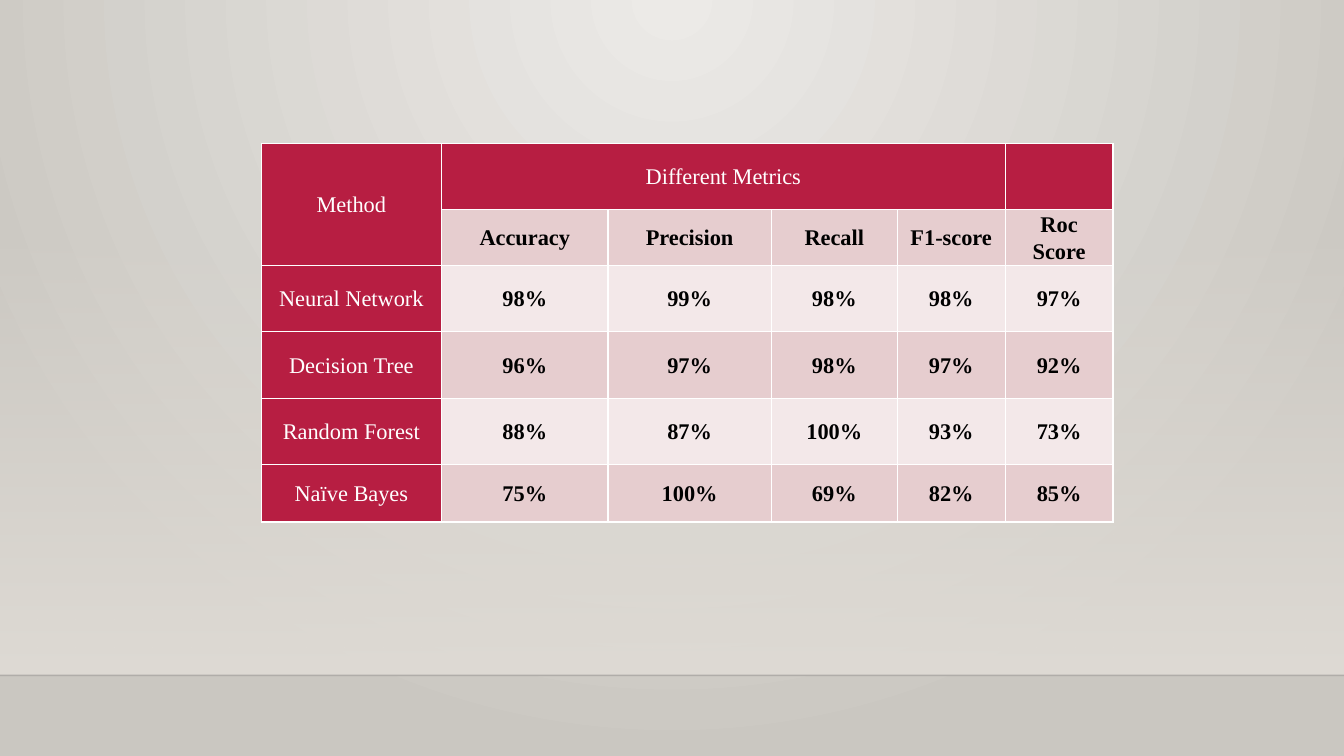
from dataclasses import dataclass

from pptx import Presentation, util as u
from pptx.dml.color import RGBColor
from pptx.enum import shapes, text
from pptx.oxml.ns import qn
from lxml import etree


@dataclass(frozen=True)
class Theme:
    glow: str = "ECEAE7"
    edge: str = "CAC7C1"
    wall: str = "DFDBD5"
    rule: str = "000001"
    head: str = "B71E42"
    bands: tuple = ("F3E8E9", "E6CDCF")
    light: str = "FFFFFF"
    dark: str = "000000"
    font: str = "Times New Roman"
    size: int = 16


T = Theme()
WIDE, HIGH = 13.33, 7.5
FLOOR = 6.7
COLS = (1.79, 1.65, 1.62, 1.25, 1.07, 1.07)
ROWS = (0.66, 0.55, 0.66, 0.66, 0.66, 0.57)
SCORES = (
    ("Method", "Different Metrics", "", "", "", ""),
    ("", "Accuracy", "Precision", "Recall", "F1-score", "Roc Score"),
    ("Neural Network", "98%", "99%", "98%", "98%", "97%"),
    ("Decision Tree", "96%", "97%", "98%", "97%", "92%"),
    ("Random Forest", "88%", "87%", "100%", "93%", "73%"),
    ("Naïve Bayes", "75%", "100%", "69%", "82%", "85%"),
)


def rgb(code):
    return RGBColor.from_string(code)


def sub(node, tag, **attrs):
    return etree.SubElement(node, qn(tag), attrs)


def fade(fill, start, end):
    fill.gradient()
    for stop, code, place in zip(fill.gradient_stops, (start, end), (0, 1)):
        stop.color.rgb = rgb(code)
        stop.position = place


def clear(node, share):
    """Set the opacity, in percent, of the first colour in a node."""
    sub(next(node.iter(qn("a:srgbClr"))), "a:alpha", val=str(share * 1000))


def glow(slide):
    fade(slide.background.fill, T.glow, T.edge)
    grad = next(slide.element.iter(qn("a:gradFill")))
    grad.remove(grad.find(qn("a:lin")))
    ring = sub(grad, "a:path")
    ring.set("path", "circle")
    sub(ring, "a:fillToRect", l="43000", t="0", r="43000", b="100000")


def wall(slide, top, floor):
    """Draw the fading wall and the line where it meets the floor."""
    box = slide.shapes.add_shape(
        shapes.MSO_SHAPE.RECTANGLE, 0, u.Inches(top),
        u.Inches(WIDE), u.Inches(floor - top))
    box.shadow.inherit = False
    box.line.fill.background()
    fade(box.fill, T.wall, T.wall)
    box.fill.gradient_angle = 270
    clear(box.element.spPr, 0)

    rule = slide.shapes.add_connector(
        shapes.MSO_CONNECTOR.STRAIGHT, 0, u.Inches(floor),
        u.Inches(WIDE), u.Inches(floor))
    rule.line.color.rgb = rgb(T.rule)
    rule.line.width = u.Pt(1)
    clear(rule.element.spPr, 20)
    sub(rule.element.spPr, "a:effectLst")


def frame(cell):
    props = cell._tc.get_or_add_tcPr()
    for i, side in enumerate("LRTB"):
        line = etree.Element(qn(f"a:ln{side}"), w=str(u.Pt(1)))
        sub(sub(line, "a:solidFill"), "a:srgbClr", val=T.light)
        props.insert(i, line)


def style(cell, words, fill, ink, bold):
    cell.fill.solid()
    cell.fill.fore_color.rgb = rgb(fill)
    frame(cell)
    cell.margin_left = cell.margin_right = u.Inches(0.07)
    cell.margin_top = cell.margin_bottom = 0
    cell.vertical_anchor = text.MSO_ANCHOR.MIDDLE
    cell.text = words
    para = cell.text_frame.paragraphs[0]
    para.alignment = text.PP_ALIGN.CENTER
    para.line_spacing = 1.07
    font = para.font
    font.name, font.size, font.bold = T.font, u.Pt(T.size), bold
    font.color.rgb = rgb(ink)


def scores(slide, left, top):
    grid = slide.shapes.add_table(
        len(ROWS), len(COLS), u.Inches(left), u.Inches(top),
        u.Inches(sum(COLS)), u.Inches(sum(ROWS))).table
    for col, width in zip(grid.columns, COLS):
        col.width = u.Inches(width)
    for row, height in zip(grid.rows, ROWS):
        row.height = u.Inches(height)
    for r, line in enumerate(SCORES):
        for c, words in enumerate(line):
            head = r == 0 or c == 0
            fill = T.head if head else T.bands[r % 2]
            ink = T.light if head else T.dark
            style(grid.cell(r, c), words, fill, ink, not head)
    grid.cell(0, 0).merge(grid.cell(1, 0))
    grid.cell(0, 1).merge(grid.cell(0, 4))


def main():
    deck = Presentation()
    deck.slide_width, deck.slide_height = u.Inches(WIDE), u.Inches(HIGH)
    slide = deck.slides.add_slide(deck.slide_layouts[6])
    glow(slide)
    wall(slide, 2.21, FLOOR)
    scores(slide, 2.59, 1.42)
    deck.save("out.pptx")


if __name__ == "__main__":
    main()
